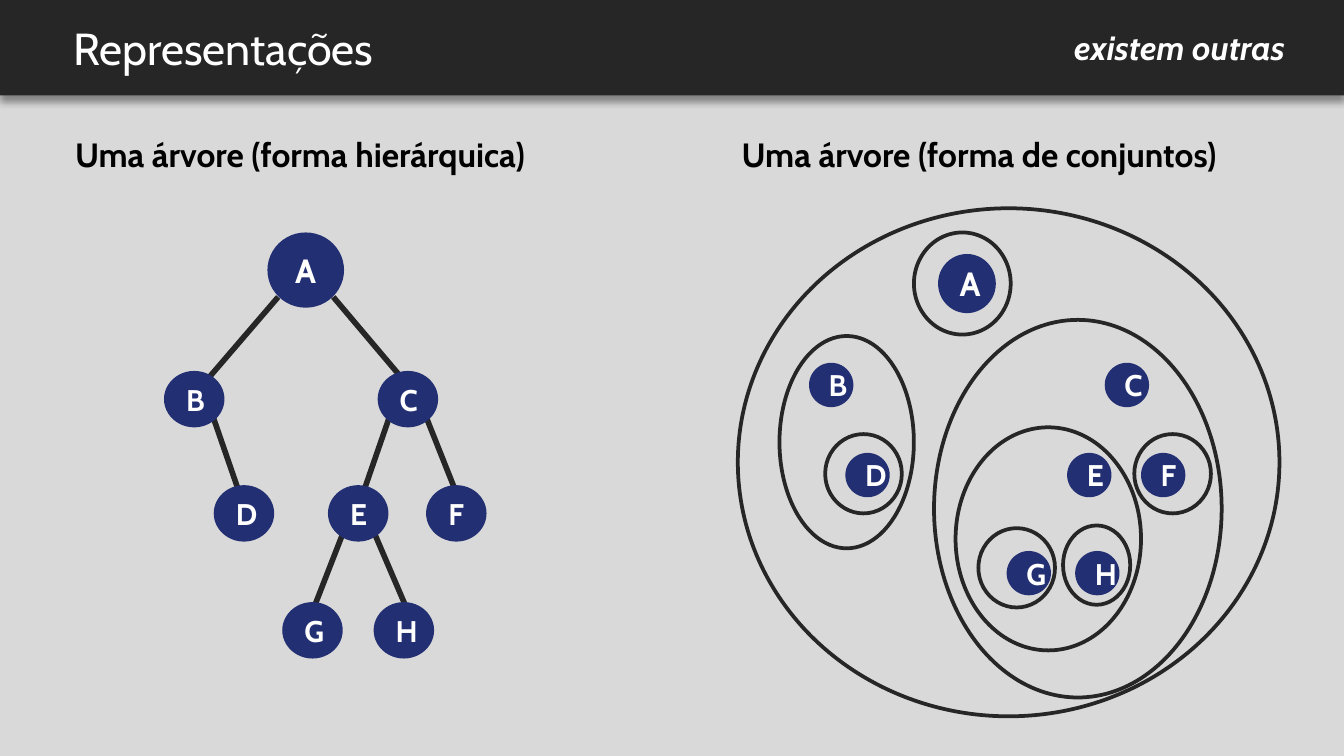
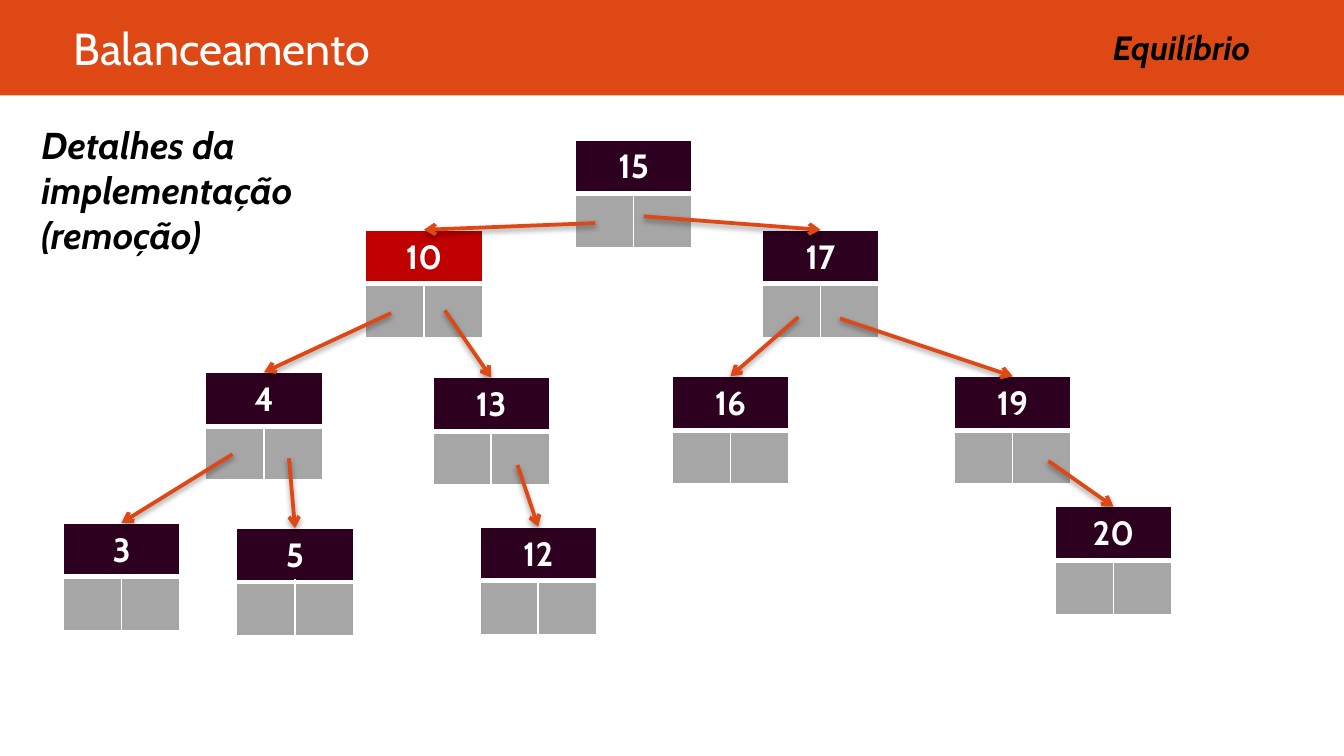
"""Build two slides about tree representations and balancing."""
from dataclasses import dataclass
from typing import NamedTuple

from lxml.etree import SubElement
from pptx import Presentation
from pptx.dml.color import RGBColor
from pptx.enum.shapes import MSO_CONNECTOR, MSO_SHAPE
from pptx.enum.text import MSO_ANCHOR, MSO_AUTO_SIZE, PP_ALIGN
from pptx.oxml.ns import qn
from pptx.oxml.xmlchemy import BaseOxmlElement
from pptx.shapes.autoshape import Shape
from pptx.shapes.connector import Connector
from pptx.shapes.shapetree import GroupShapes, SlideShapes
from pptx.slide import Slide
from pptx.table import _Cell
from pptx.text.text import TextFrame
from pptx.util import Inches, Pt

SLIDE_WIDTH = Inches(10)
SLIDE_HEIGHT = SLIDE_WIDTH * 9 // 16
COLUMN, ROW = SLIDE_WIDTH / 100, SLIDE_HEIGHT / 56.25
FONT = "Cabin"
WHITE, BLACK = "FFFFFF", "000000"
CHARCOAL, LIGHT_GRAY, NAVY = "262626", "D9D9D9", "232F73"
ORANGE, PLUM, RED, POINTER_GRAY = "DD4814", "2C001E", "C00000", "A6A6A6"
BAND_BOTTOM = 7.1

ShapeTree = SlideShapes | GroupShapes


class Point(NamedTuple):
    """A place in grid columns and rows."""
    x: float
    y: float


class Box(NamedTuple):
    """A frame in grid columns and rows."""
    left: float
    top: float
    width: float
    height: float


class Shadow(NamedTuple):
    """A downward black shadow, in percent and points."""
    opacity: float
    blur: float
    distance: float


@dataclass(frozen=True)
class Style:
    """The look of a text."""
    size: int
    color: str
    bold: bool = True
    italic: bool = False
    align: PP_ALIGN | None = None


@dataclass(frozen=True)
class Node:
    """A lettered circle."""
    letter: str
    left: float
    top: float


@dataclass(frozen=True)
class Record:
    """A tree record with the start of the arrow that reaches it."""
    value: str
    left: float
    top: float
    source: Point | None = None
    color: str = PLUM


BAND_SHADOW = Shadow(40, 4, 3)
ARROW_SHADOW = Shadow(38, 3.1, 1.6)
TITLE = Style(24, WHITE, bold=False)
HEADING = Style(18, BLACK)
DETAIL = Style(20, BLACK, italic=True)
RECORD_TEXT = Style(18, WHITE, align=PP_ALIGN.CENTER)

TREE_ROOT = Box(19.9, 17.3, 5.7, 5.6)
TREE_NODES = [
    Node("C", 28.1, 27.6), Node("B", 12.2, 27.6), Node("E", 24.4, 36.1), Node("D", 15.9, 36.1),
    Node("F", 31.7, 36.1), Node("G", 21, 44.8), Node("H", 27.8, 44.8),
]
TREE_EDGES = [
    (Point(20.7, 22.1), Point(14.6, 29.2)), (Point(24.8, 22.1), Point(30.8, 29.2)),
    (Point(29.4, 29.8), Point(26.6, 37.9)), (Point(31.3, 30), Point(34.4, 37.8)),
    (Point(15.4, 29.7), Point(18.2, 37.8)), (Point(25.9, 38.7), Point(22.9, 46.4)),
    (Point(27.4, 38.6), Point(30.7, 46.3)),
]
OUTER_SET = Box(54.9, 15.5, 40.3, 37.8)
SET_ROOT = Box(69.8, 18.9, 4.3, 4.4)
SET_NODES = [
    Node("C", 82.2, 27), Node("B", 60.2, 27), Node("E", 79.4, 33.7), Node("D", 62.9, 33.7),
    Node("F", 84.9, 33.7), Node("G", 74.9, 41), Node("H", 80, 41),
]
INNER_SETS = [
    Box(58, 25, 10, 15.8), Box(84.4, 32.3, 5.7, 5.9), Box(69.5, 23.8, 21.4, 28.1),
    Box(71.1, 31.8, 13.8, 16.6), Box(61.4, 32.3, 5.7, 5.9), Box(68, 17.3, 7.2, 7.6),
    Box(72.8, 39.3, 5.7, 5.9), Box(79.1, 39.1, 5, 5.9),
]
RECORDS = [
    Record("15", 42.8, 10.4),
    Record("10", 27.2, 17.1, Point(44.3, 16.6), RED),
    Record("17", 56.7, 17.1, Point(47.9, 16.1)),
    Record("4", 15.3, 27.7, Point(29.1, 23.3)),
    Record("13", 32.2, 28.1, Point(33.1, 23.1)),
    Record("16", 50, 28, Point(59.4, 23.6)),
    Record("19", 71, 28, Point(62.5, 23.7)),
    Record("3", 4.7, 38.9, Point(17.3, 33.8)),
    Record("5", 17.6, 39.3, Point(21.5, 34.1)),
    Record("12", 35.7, 39.2, Point(38.5, 34.6)),
    Record("20", 78.5, 37.7, Point(78, 34.3)),
]
RECORD_WIDTH, RECORD_HEIGHT = 8.7, 8


def rgb(color: str) -> RGBColor:
    """Turn a hex string into a colour."""
    return RGBColor.from_string(color)


def to_length(x: float, y: float) -> tuple[int, int]:
    """Turn grid columns and rows into lengths."""
    return round(x * COLUMN), round(y * ROW)


def place(box: Box) -> tuple[int, ...]:
    """Turn a grid box into left, top, width and height."""
    return to_length(box.left, box.top) + to_length(box.width, box.height)


def add_solid_fill(parent: BaseOxmlElement, color: str) -> None:
    """Append a solid fill to an XML element."""
    SubElement(SubElement(parent, qn("a:solidFill")), qn("a:srgbClr"), val=color)


def set_shadow(shape: Shape | Connector, shadow: Shadow | None) -> None:
    """Replace the theme shadow by the given one or by none."""
    effects = SubElement(shape._element.spPr, qn("a:effectLst"))
    if shadow:
        outer = SubElement(
            effects, qn("a:outerShdw"), blurRad=str(Pt(shadow.blur)),
            dist=str(Pt(shadow.distance)), dir="5400000", rotWithShape="0",
        )
        color = SubElement(outer, qn("a:srgbClr"), val=BLACK)
        SubElement(color, qn("a:alpha"), val=str(round(shadow.opacity * 1000)))


def write(frame: TextFrame, lines: list[str], style: Style) -> None:
    """Write each line as a paragraph with one run."""
    for index, line in enumerate(lines):
        paragraph = frame.add_paragraph() if index else frame.paragraphs[0]
        paragraph.alignment = style.align
        run = paragraph.add_run()
        run.text = line
        font = run.font
        font.name, font.size = FONT, Pt(style.size)
        font.bold, font.italic = style.bold, style.italic
        font.color.rgb = rgb(style.color)


def add_text(shapes: ShapeTree, box: Box, lines: list[str], style: Style,
             wrap: bool = True, middle: bool = False) -> None:
    """Add a text box, either growing from the top or anchored in the middle."""
    frame = shapes.add_textbox(*place(box)).text_frame
    frame.word_wrap = wrap
    if middle:
        frame.vertical_anchor = MSO_ANCHOR.MIDDLE
        frame.margin_top = frame.margin_bottom = Inches(0.1)
    else:
        frame.auto_size = MSO_AUTO_SIZE.SHAPE_TO_FIT_TEXT
    write(frame, lines, style)


def add_filled(shapes: ShapeTree, kind: MSO_SHAPE, box: Box, color: str,
               shadow: Shadow | None = None) -> Shape:
    """Add a filled shape without an outline."""
    shape = shapes.add_shape(kind, *place(box))
    shape.fill.solid()
    shape.fill.fore_color.rgb = rgb(color)
    shape.line.fill.background()
    set_shadow(shape, shadow)
    return shape


def add_circle(shapes: ShapeTree, box: Box, letter: str, size: int) -> None:
    """Add a navy circle with its letter."""
    circle = add_filled(shapes, MSO_SHAPE.OVAL, box, NAVY)
    circle.text_frame.vertical_anchor = MSO_ANCHOR.MIDDLE
    write(circle.text_frame, [letter], Style(size, WHITE, align=PP_ALIGN.CENTER))


def add_nodes(shapes: ShapeTree, root: Box, nodes: list[Node], width: float, height: float) -> None:
    """Add the root circle and the smaller circles below it."""
    add_circle(shapes, root, "A", 18)
    for node in nodes:
        add_circle(shapes, Box(node.left, node.top, width, height), node.letter, 16)


def add_set(shapes: ShapeTree, box: Box) -> None:
    """Add the outline of a set."""
    ellipse = shapes.add_shape(MSO_SHAPE.OVAL, *place(box))
    ellipse.fill.background()
    ellipse.line.color.rgb = rgb(CHARCOAL)
    ellipse.line.width = Pt(2)
    set_shadow(ellipse, None)


def add_line(shapes: ShapeTree, start: Point, end: Point, color: str, width: float,
             arrow: bool = False) -> None:
    """Add a straight line, or an arrow with a shadow."""
    line = shapes.add_connector(MSO_CONNECTOR.STRAIGHT, *to_length(*start), *to_length(*end))
    line.line.color.rgb = rgb(color)
    line.line.width = Pt(width)
    if arrow:
        SubElement(line.line._get_or_add_ln(), qn("a:tailEnd"), type="arrow")
    set_shadow(line, ARROW_SHADOW if arrow else None)


def style_cell(cell: _Cell, color: str, top: float, bottom: float) -> None:
    """Give a cell its white borders and its fill."""
    properties = cell._tc.get_or_add_tcPr()
    for side, width in (("L", 1), ("R", 1), ("T", top), ("B", bottom)):
        border = SubElement(properties, qn(f"a:ln{side}"), w=str(Pt(width)))
        add_solid_fill(border, WHITE)
    cell.fill.solid()
    cell.fill.fore_color.rgb = rgb(color)


def add_record(shapes: SlideShapes, record: Record) -> None:
    """Add a table with a value above two pointer cells."""
    box = Box(record.left, record.top, RECORD_WIDTH, RECORD_HEIGHT)
    table = shapes.add_table(2, 2, *place(box)).table
    table.first_row = table.horz_banding = False
    for column in range(2):
        style_cell(table.cell(0, column), record.color, 1, 3)
        style_cell(table.cell(1, column), POINTER_GRAY, 3, 1)
    table.cell(0, 0).merge(table.cell(0, 1))
    write(table.cell(0, 0).text_frame, [record.value], RECORD_TEXT)


def add_slide(presentation: Presentation, background: str) -> Slide:
    """Add a blank slide with a background colour."""
    slide = presentation.slides.add_slide(presentation.slide_layouts[6])
    slide.background.fill.solid()
    slide.background.fill.fore_color.rgb = rgb(background)
    return slide


def add_header(shapes: SlideShapes, title: str, color: str, top: float = 0,
               shadow: Shadow | None = None) -> None:
    """Add the title band."""
    add_filled(shapes, MSO_SHAPE.RECTANGLE, Box(0, top, 100, BAND_BOTTOM - top), color, shadow)
    add_text(shapes, Box(4.5, 0, 90.5, BAND_BOTTOM), [title], TITLE, middle=True)


def add_tagline(shapes: SlideShapes, text: str, left: float, color: str) -> None:
    """Add the italic remark at the right of the band."""
    style = Style(18, color, italic=True, align=PP_ALIGN.RIGHT)
    add_text(shapes, Box(left, 1.5, 26.1, 4), [text], style)


def build_representations(presentation: Presentation) -> None:
    """Show one tree as a hierarchy and as nested sets."""
    shapes = add_slide(presentation, LIGHT_GRAY).shapes
    sets = shapes.add_group_shape().shapes
    add_text(sets, Box(54.2, 9.5, 41, 4), ["Uma árvore (forma de conjuntos)"], HEADING, wrap=False)
    add_set(sets, OUTER_SET)
    add_nodes(sets, SET_ROOT, SET_NODES, 3.3, 3.3)
    for box in INNER_SETS:
        add_set(sets, box)
    add_header(shapes, "Representações", CHARCOAL, -0.5, BAND_SHADOW)
    tree = shapes.add_group_shape().shapes
    add_text(tree, Box(4.6, 9.5, 39.2, 4), ["Uma árvore (forma hierárquica)"], HEADING, wrap=False)
    for start, end in TREE_EDGES:
        add_line(tree, start, end, CHARCOAL, 3)
    add_nodes(tree, TREE_ROOT, TREE_NODES, 4.5, 4.2)
    add_tagline(shapes, "existem outras", 70.5, WHITE)


def build_balancing(presentation: Presentation) -> None:
    """Show a search tree of linked records."""
    shapes = add_slide(presentation, WHITE).shapes
    add_header(shapes, "Balanceamento", ORANGE)
    add_text(shapes, Box(2.1, 9.6, 30, 9), ["Detalhes da implementação", "(remoção)"], DETAIL, middle=True)
    add_tagline(shapes, "Equilíbrio", 67.9, BLACK)
    for record in RECORDS:
        add_record(shapes, record)
    for record in RECORDS:
        if record.source:
            target = Point(record.left + RECORD_WIDTH / 2, record.top)
            add_line(shapes, record.source, target, ORANGE, 2, arrow=True)


def main() -> None:
    """Build and save the presentation."""
    presentation = Presentation()
    presentation.slide_width, presentation.slide_height = SLIDE_WIDTH, SLIDE_HEIGHT
    build_representations(presentation)
    build_balancing(presentation)
    presentation.save("out.pptx")


if __name__ == "__main__":
    main()
